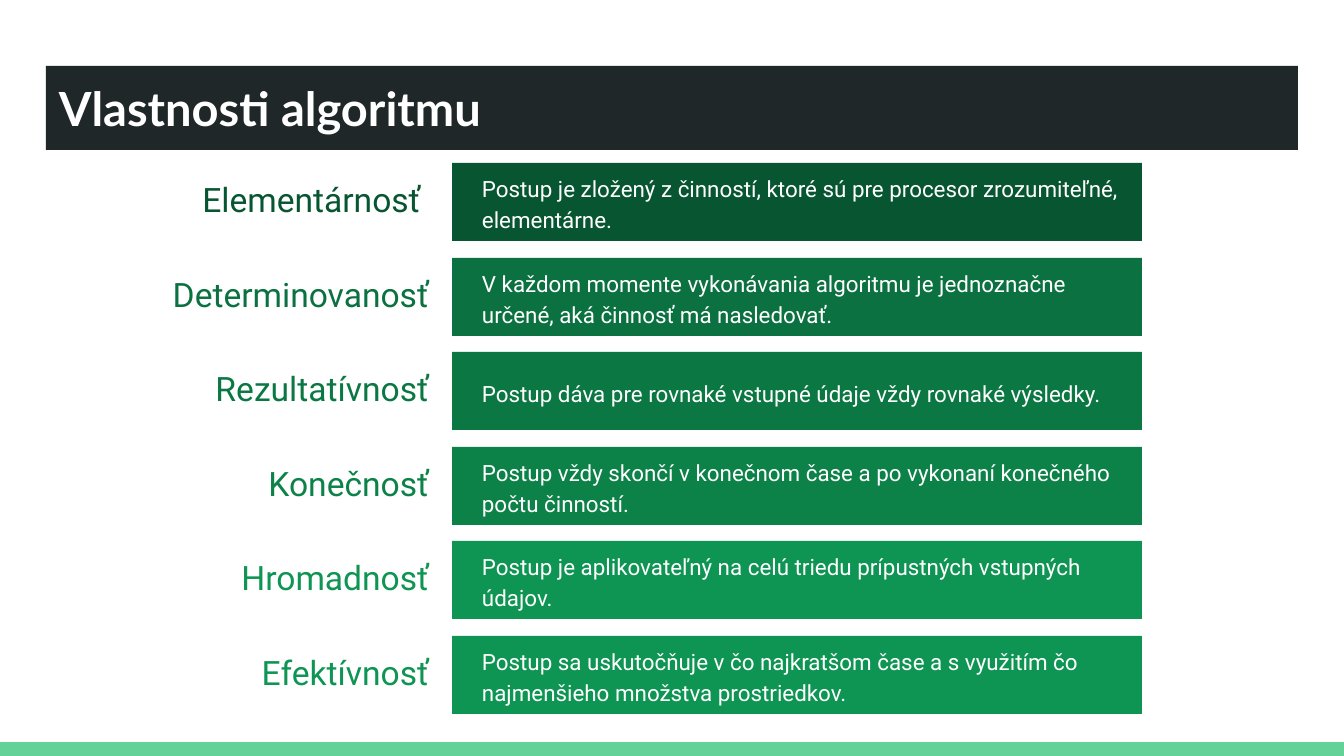
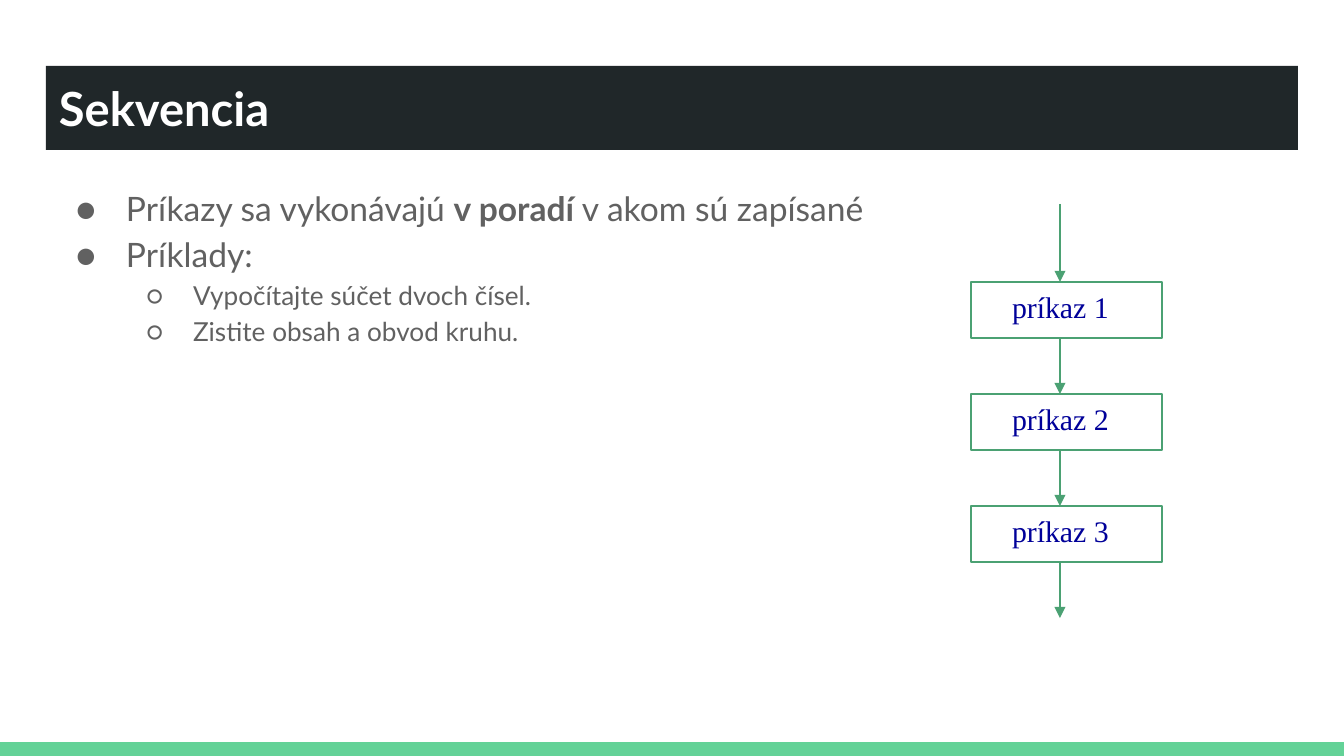
import pptx
import pptx.dml.color
import pptx.enum.shapes
import pptx.enum.text
import pptx.oxml.ns
import pptx.util
from lxml import etree

PX = 6804  # EMU in one px; the slide is 1344 px wide
WIDTH, HEIGHT = 1344, 756

COLORS = {
    "white": "FFFFFF", "title band": "202729", "footer band": "63D297",
    "body": "616161", "flow line": "4BA173", "flow text": "000099",
}
ALIGN = pptx.enum.text.PP_ALIGN
ANCHOR = pptx.enum.text.MSO_ANCHOR
AUTO_SIZE = pptx.enum.text.MSO_AUTO_SIZE

SMALL_INSETS = {"margin_left": 13 * PX, "margin_right": 13 * PX,
                "margin_top": 7 * PX, "margin_bottom": 7 * PX}
LARGE_INSETS = dict.fromkeys(SMALL_INSETS, 13 * PX)
MIDDLE_FRAME = {**SMALL_INSETS, "word_wrap": True, "auto_size": AUTO_SIZE.NONE,
                "vertical_anchor": ANCHOR.MIDDLE}
TOP_FRAME = {**LARGE_INSETS, "word_wrap": True, "auto_size": AUTO_SIZE.NONE,
             "vertical_anchor": ANCHOR.TOP}
FLOW_FRAME = {**SMALL_INSETS, "word_wrap": True, "auto_size": AUTO_SIZE.SHAPE_TO_FIT_TEXT,
              "vertical_anchor": ANCHOR.TOP}

TITLE = {"frame": TOP_FRAME, "paragraph": {"alignment": ALIGN.LEFT},
         "font": {"name": "Lato", "size": pptx.util.Pt(25.2), "bold": True}}
PROPERTY = {"frame": MIDDLE_FRAME,
            "paragraph": {"alignment": ALIGN.RIGHT, "line_spacing": 0.9},
            "font": {"name": "Roboto", "size": pptx.util.Pt(18)}}
DESCRIPTION = {"frame": MIDDLE_FRAME,
               "paragraph": {"alignment": ALIGN.LEFT, "line_spacing": 1.15},
               "font": {"name": "Roboto", "size": pptx.util.Pt(12)}}
BODY = {"frame": TOP_FRAME,
        "paragraph": {"alignment": ALIGN.LEFT, "line_spacing": 1.15},
        "font": {"name": "Lato", "size": pptx.util.Pt(18)}}
COMMAND = {"frame": FLOW_FRAME, "paragraph": {"alignment": ALIGN.CENTER},
           "font": {"name": "Times New Roman", "size": pptx.util.Pt(16)}}


def add_rectangle(shapes, box, fill, line=None):
    shape = shapes.add_shape(pptx.enum.shapes.MSO_SHAPE.RECTANGLE,
                             *[length * PX for length in box])
    shape.shadow.inherit = False
    shape.fill.solid()
    shape.fill.fore_color.rgb = pptx.dml.color.RGBColor.from_string(fill)
    if line:
        shape.line.color.rgb = pptx.dml.color.RGBColor.from_string(line)
        shape.line.width = pptx.util.Pt(1)
    else:
        shape.line.fill.background()


def write(shape, paragraphs, style, color):
    """Fill a shape with paragraphs, each a list of runs; every second run is bold."""
    frame = shape.text_frame
    for name, value in style["frame"].items():
        setattr(frame, name, value)
    for number, runs in enumerate(paragraphs):
        paragraph = frame.add_paragraph() if number else frame.paragraphs[0]
        for name, value in style["paragraph"].items():
            setattr(paragraph, name, value)
        for position, text in enumerate(runs):
            run = paragraph.add_run()
            run.text = text
            run.font.bold = position % 2 == 1
            for name, value in style["font"].items():
                setattr(run.font, name, value)
            run.font.color.rgb = pptx.dml.color.RGBColor.from_string(color)


presentation = pptx.Presentation()
presentation.slide_width = WIDTH * PX
presentation.slide_height = HEIGHT * PX

slides = []
for heading in ("Vlastnosti algoritmu", "Sekvencia"):
    slide = presentation.slides.add_slide(presentation.slide_layouts[5])
    add_rectangle(slide.shapes, (0, 742, WIDTH, 14), COLORS["footer band"])
    title = slide.shapes.title
    for name, length in {"left": 46, "top": 66, "width": 1252, "height": 84}.items():
        setattr(title, name, length * PX)
    title.fill.solid()
    title.fill.fore_color.rgb = pptx.dml.color.RGBColor.from_string(COLORS["title band"])
    write(title, [[heading]], TITLE, COLORS["white"])
    slides.append(slide)
properties_slide, sequence_slide = slides

# Slide 1: one row for each property of an algorithm
PROPERTIES = [
    ("Elementárnosť ", "085631",
     "Postup je zložený z činností, ktoré sú pre procesor zrozumiteľné, elementárne."),
    ("Determinovanosť", "0B7140",
     "V každom momente vykonávania algoritmu je jednoznačne určené, "
     "aká činnosť má nasledovať."),
    ("Rezultatívnosť", "0B7743",
     "Postup dáva pre rovnaké vstupné údaje vždy rovnaké výsledky."),
    ("Konečnosť", "0C8148",
     "Postup vždy skončí v konečnom čase a po vykonaní konečného počtu činností."),
    ("Hromadnosť", "0E9453",
     "Postup je aplikovateľný na celú triedu prípustných vstupných údajov."),
    ("Efektívnosť", "0E9453",
     "Postup sa uskutočňuje v čo najkratšom čase a s využitím čo najmenšieho "
     "množstva prostriedkov."),
]
FIRST_BAR, LAST_BAR, BAR_HEIGHT = 163, 636, 78
for row, (name, color, description) in enumerate(PROPERTIES):
    top = FIRST_BAR + round(row * (LAST_BAR - FIRST_BAR) / (len(PROPERTIES) - 1))
    shapes = properties_slide.shapes.add_group_shape().shapes
    label = shapes.add_textbox(142 * PX, (top + 5) * PX, 300 * PX, 67 * PX)
    write(label, [[name]], PROPERTY, color)
    add_rectangle(shapes, (452, top, 690, BAR_HEIGHT), color)
    detail = shapes.add_textbox(469 * PX, (top + 22) * PX, 673 * PX, 35 * PX)
    write(detail, [[description]], DESCRIPTION, COLORS["white"])

# Slide 2: bulleted text and a flow of commands
body = sequence_slide.shapes.add_textbox(46 * PX, 169 * PX, 1252 * PX, 503 * PX)
write(body, [
    ["Príkazy sa vykonávajú ", "v poradí", " v akom sú zapísané"],
    ["Príklady:"],
    ["Vypočítajte súčet dvoch čísel."],
    ["Zistite obsah a obvod kruhu."],
], BODY, COLORS["body"])
BULLETS = [("●", 67, -50, 18), ("○", 134, -47, 14)]
for paragraph, level in zip(body.text_frame.paragraphs, (0, 0, 1, 1)):
    symbol, margin, indent, size = BULLETS[level]
    paragraph.level = level
    for run in paragraph.runs:
        run.font.size = pptx.util.Pt(size)
    properties = paragraph._p.get_or_add_pPr()
    properties.set("marL", str(margin * PX))
    properties.set("indent", str(indent * PX))
    bullet_color = etree.SubElement(properties, pptx.oxml.ns.qn("a:buClr"))
    etree.SubElement(bullet_color, pptx.oxml.ns.qn("a:srgbClr"), val=COLORS["body"])
    etree.SubElement(properties, pptx.oxml.ns.qn("a:buFont"), typeface="Lato")
    etree.SubElement(properties, pptx.oxml.ns.qn("a:buChar"), char=symbol)

COMMANDS = ["príkaz 1", "príkaz 2", "príkaz 3"]
FIRST_COMMAND, COMMAND_HEIGHT, COMMAND_STEP = 282, 56, 112
flow = sequence_slide.shapes.add_group_shape().shapes
command_tops = [FIRST_COMMAND + COMMAND_STEP * row for row in range(len(COMMANDS) + 1)]
for top in command_tops[:-1]:
    add_rectangle(flow, (971, top, 191, COMMAND_HEIGHT), COLORS["white"], COLORS["flow line"])

arrow_starts = [204] + [top + COMMAND_HEIGHT for top in command_tops[:-1]]
for start, end in zip(arrow_starts, command_tops):
    arrow = flow.add_connector(pptx.enum.shapes.MSO_CONNECTOR.STRAIGHT,
                               1060 * PX, start * PX, 1060 * PX, end * PX)
    arrow.line.color.rgb = pptx.dml.color.RGBColor.from_string(COLORS["flow line"])
    arrow.line.width = pptx.util.Pt(1)
    etree.SubElement(arrow.line._get_or_add_ln(), pptx.oxml.ns.qn("a:tailEnd"), type="triangle")
    etree.SubElement(arrow._element.spPr, pptx.oxml.ns.qn("a:effectLst"))

for command, top in zip(COMMANDS, command_tops):
    label = flow.add_textbox(982 * PX, top * PX, 157 * PX, 50 * PX)
    write(label, [[command]], COMMAND, COLORS["flow text"])

presentation.save("out.pptx")
